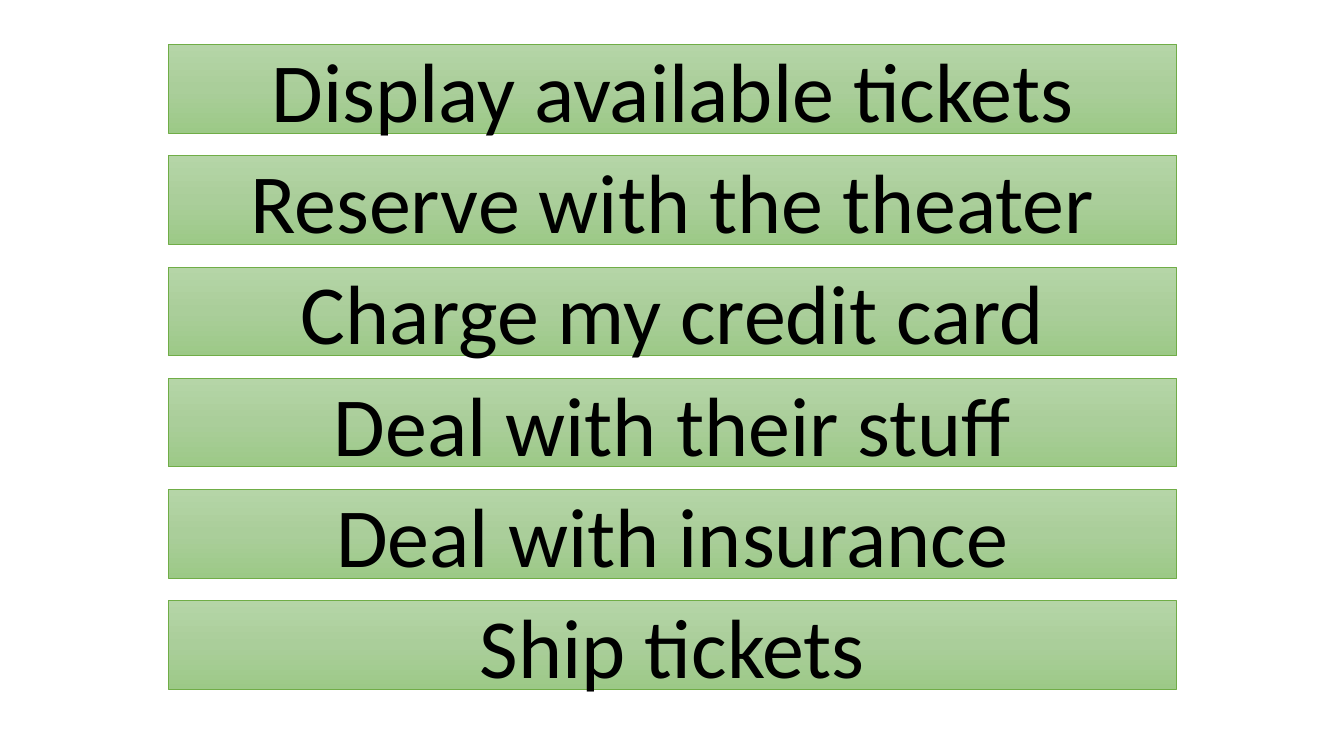
from copy import deepcopy

from pptx import Presentation
from pptx.dml.color import RGBColor
from pptx.enum import shapes, text
from pptx.oxml.ns import qn
from pptx.util import Inches, Pt

STEPS = [
    "Display available tickets",
    "Reserve with the theater",
    "Charge my credit card",
    "Deal with their stuff",
    "Deal with insurance",
    "Ship tickets",
]
GREENS = [(0, "B5D5A7"), (0.5, "AACE9A"), (1, "9CC987")]
FIRST, LAST = 0.44, 5.96
PITCH = (LAST - FIRST) / (len(STEPS) - 1)


def tint(color, code):
    color.rgb = RGBColor.from_string(code)


def shade(shape, stops):
    """Fill the shape with a three-stop gradient from top to bottom."""
    fill = shape.fill
    fill.gradient()
    fill.gradient_angle = 270
    marks = shape._element.spPr.find(".//" + qn("a:gsLst"))
    marks.insert(1, deepcopy(marks[0]))
    for stop, (place, code) in zip(fill.gradient_stops, stops):
        stop.position = place
        tint(stop.color, code)


deck = Presentation()
deck.slide_width, deck.slide_height = Inches(13.33), Inches(7.5)
slide = deck.slides.add_slide(deck.slide_layouts[6])

for row, step in enumerate(STEPS):
    bar = slide.shapes.add_shape(
        shapes.MSO_SHAPE.RECTANGLE,
        Inches(1.67), Inches(FIRST + row * PITCH), Inches(10), Inches(0.88))
    bar.shadow.inherit = False
    shade(bar, GREENS)
    tint(bar.line.color, "70AD47")
    bar.line.width = Pt(0.5)

    frame = bar.text_frame
    frame.word_wrap = True
    frame.vertical_anchor = text.MSO_ANCHOR.MIDDLE
    label = frame.paragraphs[0]
    label.text = step
    label.alignment = text.PP_ALIGN.CENTER
    label.font.name = "Calibri"
    label.font.size = Pt(60)
    tint(label.font.color, "000000")

deck.save("out.pptx")
